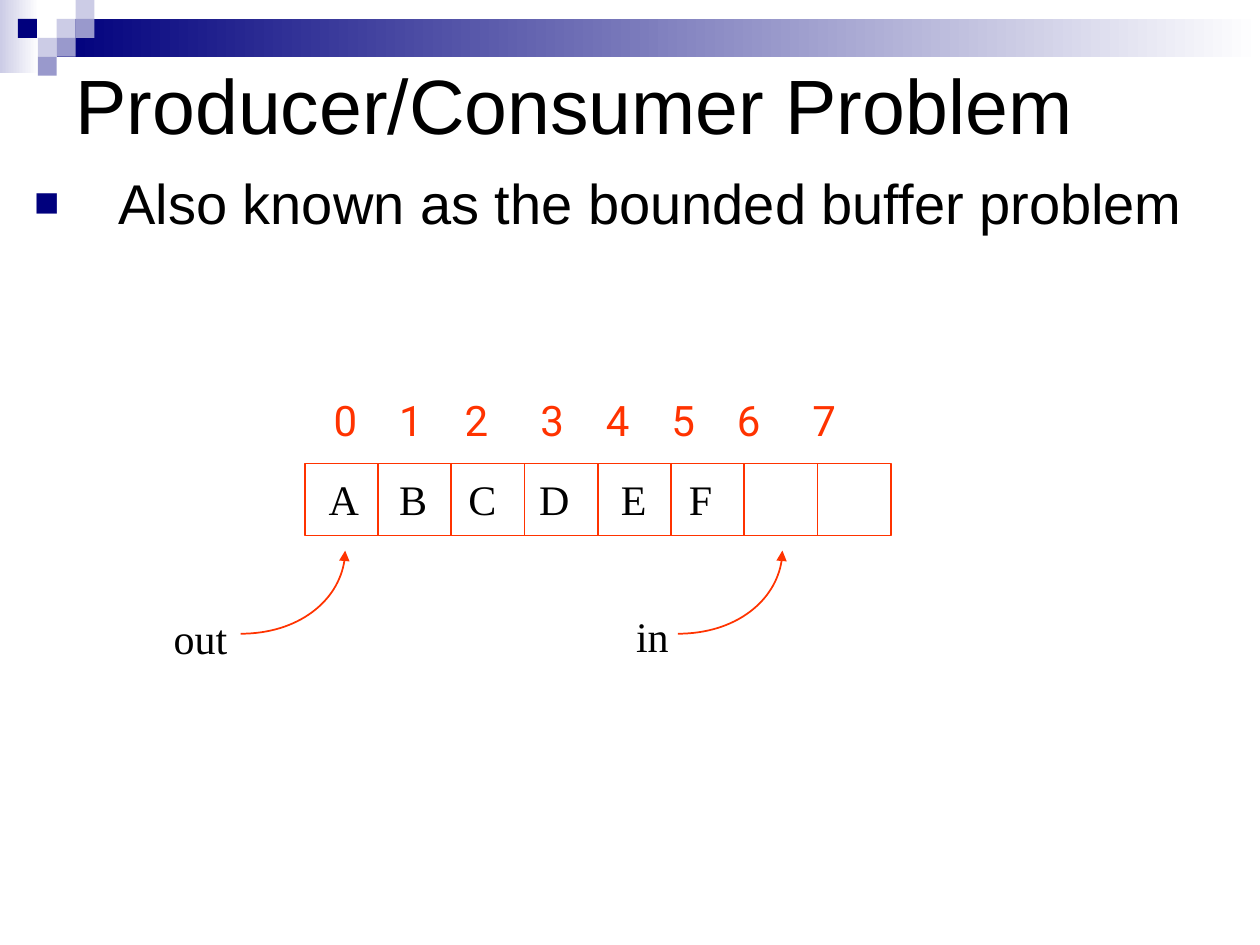
from pptx import Presentation
from pptx import util as u
from pptx.dml.color import RGBColor
from pptx.enum import shapes, text
from pptx.oxml.ns import qn
from lxml import etree

NAVY = RGBColor(0x00, 0x00, 0x7D)
LILAC = RGBColor(0x99, 0x99, 0xCC)
PALE = RGBColor(0xCC, 0xCC, 0xE6)
WHITE = RGBColor(0xFF, 0xFF, 0xFF)
BLACK = RGBColor(0x00, 0x00, 0x00)
RED = RGBColor(0xFF, 0x33, 0x00)
SANS, DIGITS, SERIF = "Arial", "Roboto", "Times New Roman"
COLS = 100


class Board:
    """A slide laid out on a grid of square units, COLS across its width."""

    def __init__(self, prs):
        self.unit = prs.slide_width / COLS
        self.slide = prs.slides.add_slide(prs.slide_layouts[1])

    def at(self, *units):
        return [u.Emu(round(n * self.unit)) for n in units]

    def add_text(self, p, words, size, font, color):
        r = p.add_run()
        r.text = words
        r.font.size, r.font.name = u.Pt(size), font
        r.font.color.rgb = color

    def placeholder(self, index, box, words, size, anchor):
        sp = self.slide.placeholders[index]
        sp.left, sp.top, sp.width, sp.height = self.at(*box)
        tf = sp.text_frame
        tf.auto_size, tf.vertical_anchor = text.MSO_AUTO_SIZE.NONE, anchor
        p = tf.paragraphs[0]
        p.alignment, p.space_before = text.PP_ALIGN.LEFT, u.Pt(0)
        self.add_text(p, words, size, SANS, BLACK)
        return p

    def bullet(self, p, indent):
        pPr = p._p.get_or_add_pPr()
        (width,) = self.at(indent)
        pPr.set("marL", str(width))
        pPr.set("indent", str(-width))
        color = etree.SubElement(pPr, qn("a:buClr"))
        etree.SubElement(color, qn("a:srgbClr"), val=str(NAVY))
        etree.SubElement(pPr, qn("a:buSzPct"), val="75000")
        etree.SubElement(pPr, qn("a:buFont"), typeface=SANS)
        etree.SubElement(pPr, qn("a:buChar"), char="■")

    def rect(self, box, *colors):
        """No colour: red outline; one: solid fill; two: gradient."""
        sp = self.slide.shapes.add_shape(shapes.MSO_SHAPE.RECTANGLE, *self.at(*box))
        sp.shadow.inherit = False
        if not colors:
            sp.fill.background()
            self.stroke(sp)
            return sp
        sp.line.fill.background()
        if len(colors) == 1:
            sp.fill.solid()
            sp.fill.fore_color.rgb = colors[0]
        else:
            sp.fill.gradient()
            sp.fill.gradient_angle = 0
            for stop, color in zip(sp.fill.gradient_stops, colors):
                stop.color.rgb = color
        return sp

    def stroke(self, sp):
        sp.line.color.rgb, sp.line.width = RED, u.Pt(1)

    def line(self, x1, y1, x2, y2):
        cx = self.slide.shapes.add_connector(
            shapes.MSO_CONNECTOR.STRAIGHT, *self.at(x1, y1, x2, y2))
        self.stroke(cx)
        etree.SubElement(cx._element.spPr, qn("a:effectLst"))
        return cx

    def curved_arrow(self, left, top, width, height):
        """Quarter ellipse from bottom left up to an arrowhead at top right."""
        k = 0.55
        right, bottom = left + width, top + height
        points = [(left + k * width, bottom), (right, top + k * height), (right, top)]
        builder = self.slide.shapes.build_freeform(*self.at(left, bottom))
        builder.add_line_segments([self.at(*pt) for pt in points], close=False)
        sp = builder.convert_to_shape()
        segments = list(sp._element.iter(qn("a:lnTo")))
        curve = etree.Element(qn("a:cubicBezTo"))
        segments[0].addprevious(curve)
        for segment in segments:
            curve.append(segment[0])
            segment.getparent().remove(segment)
        sp.shadow.inherit = False
        sp.fill.background()
        self.stroke(sp)
        ln = sp._element.spPr.find(qn("a:ln"))
        etree.SubElement(ln, qn("a:tailEnd"), type="triangle")

    def label(self, box, words, font, color, stops=()):
        """A line of text; stops are tab positions from the text's left edge."""
        tf = self.slide.shapes.add_textbox(*self.at(*box)).text_frame
        tf.word_wrap = True
        p = tf.paragraphs[0]
        if stops:
            tabs = etree.SubElement(p._p.get_or_add_pPr(), qn("a:tabLst"))
            for pos in self.at(*stops):
                etree.SubElement(tabs, qn("a:tab"), pos=str(pos), algn="l")
        self.add_text(p, words, 24, font, color)


def draw_banner(board):
    tile = 1.5
    board.rect((0, 0, 3.1, 5.8), PALE, WHITE)
    board.rect((4.5, tile, 95.5, 2 * tile), NAVY, WHITE)
    for col, row, color in [(3, 1, PALE), (4, 0, PALE), (4, 1, LILAC), (2, 2, PALE),
                            (0.95, 1, NAVY), (3, 2, LILAC), (2, 3, LILAC)]:
        board.rect((col * tile, row * tile, tile, tile), color)


def draw_buffer(board):
    left, top, width, height, cells = 24.2, 36.8, 46.5, 5.7, 8
    buffer = board.rect((left, top, width, height))
    for i in range(1, cells):
        x = left + i * width / cells
        divider = board.line(x, top, x, top + height)
        if 2 * i == cells:
            divider.begin_connect(buffer, 0)
            divider.end_connect(buffer, 2)
    board.label((25.5, 30.8, 44.4, 5), "\t".join("01234567"), DIGITS, RED,
                (5.2, 10.4, 16.4, 21.6, 26.8, 32, 38))
    board.label((25.1, 37.1, 33.5, 5), "\t".join("ABCDEF"), SERIF, BLACK,
                (5.6, 11.1, 16.7, 23.2, 28.6))


def main():
    prs = Presentation()
    prs.slide_width, prs.slide_height = u.Inches(10), u.Inches(7.5)
    board = Board(prs)
    draw_banner(board)
    board.placeholder(0, (5, 5, 90, 6.5), "Producer/Consumer Problem", 44,
                      text.MSO_ANCHOR.MIDDLE)
    p = board.placeholder(1, (1.7, 12.9, 98.3, 15.3),
                          "Also known as the bounded buffer problem", 32,
                          text.MSO_ANCHOR.TOP)
    board.bullet(p, 6.7)
    draw_buffer(board)
    for name, box, arrow_left in [("out", (12.8, 48.1, 6.3, 5), 19.1),
                                  ("in", (49.5, 48, 4.6, 5), 53.8)]:
        board.curved_arrow(arrow_left, 43.7, 8.3, 6.6)
        board.label(box, name, SERIF, BLACK)
    prs.save("out.pptx")


if __name__ == "__main__":
    main()
